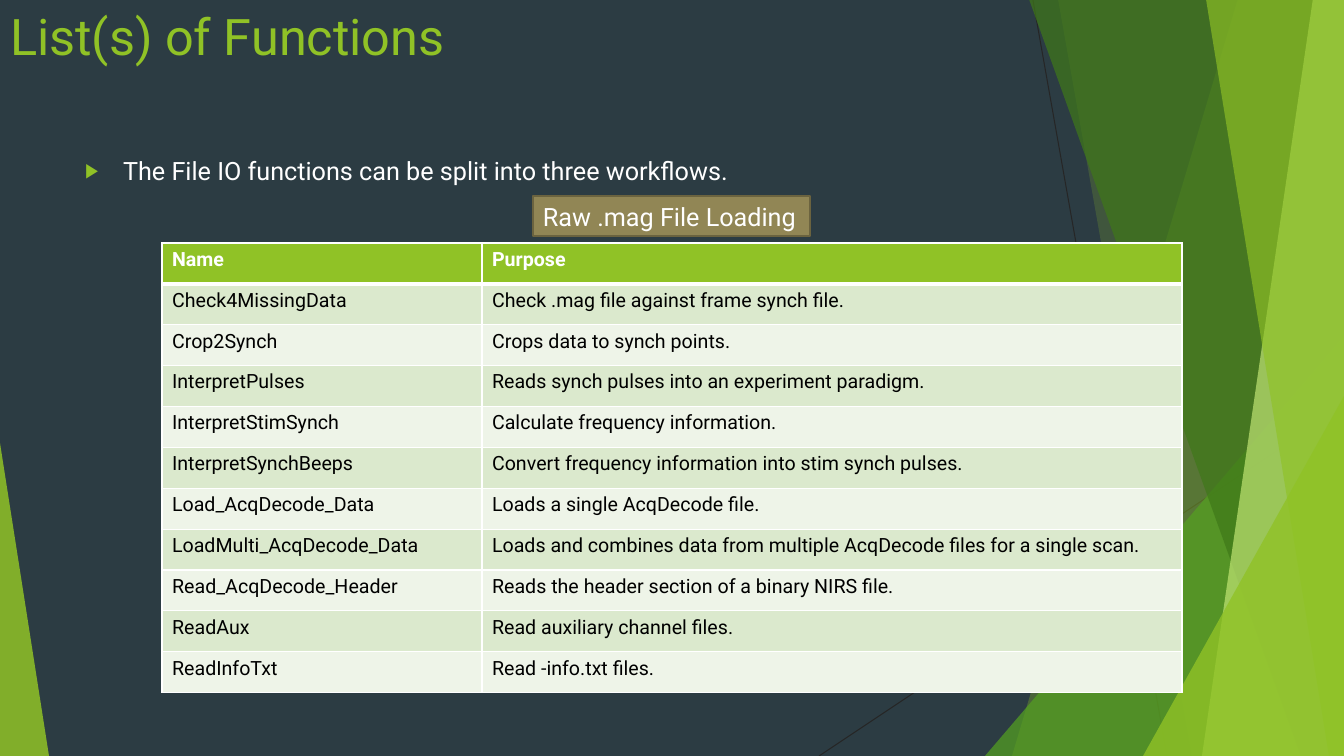
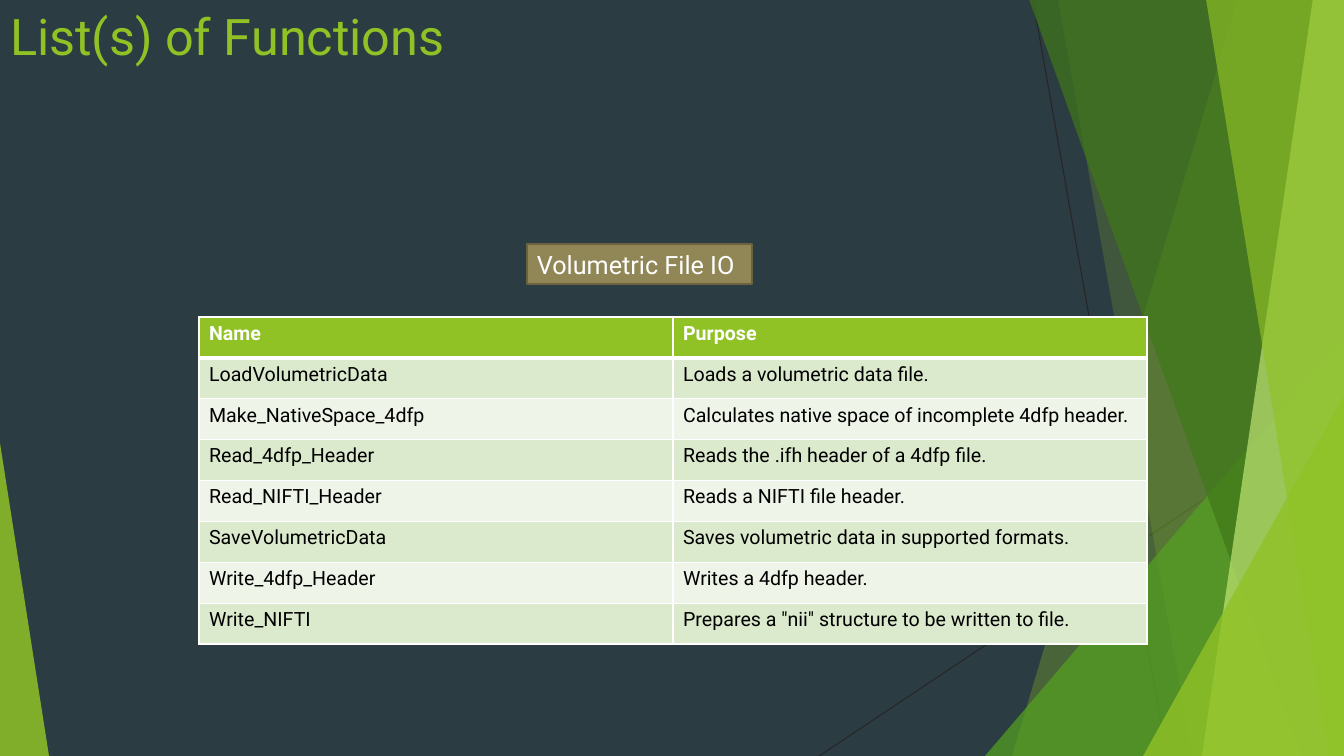
from lxml import etree
from pptx import Presentation
from pptx.dml.color import RGBColor
from pptx.enum.shapes import MSO_CONNECTOR, MSO_SHAPE
from pptx.enum.text import MSO_ANCHOR, MSO_AUTO_SIZE, PP_ALIGN
from pptx.oxml.ns import qn
from pptx.util import Emu, Pt

LINE = MSO_CONNECTOR.STRAIGHT
RECT = MSO_SHAPE.RECTANGLE
WEDGE = MSO_SHAPE.ISOSCELES_TRIANGLE
TOP = MSO_ANCHOR.TOP
LEFT = PP_ALIGN.LEFT
FIT = MSO_AUTO_SIZE.SHAPE_TO_FIT_TEXT
FIXED = MSO_AUTO_SIZE.NONE

SCALE = 914400 / 100.8
WIDTH, HEIGHT = 1344, 756
ROW = 40.88
FONT = "Roboto"
SLATE, INK, BLACK, WHITE = "2C3C43", "262626", "000000", "FFFFFF"
LIME, GREEN, FOREST, PALE = "90C226", "54A021", "3F7819", "C0E474"
TAN, BROWN = "918655", "6B633F"
BANDS = ("DBE9CD", "EEF4E8")

RAW = [
    ("Check4MissingData", "Check .mag file against frame synch file."),
    ("Crop2Synch", "Crops data to synch points."),
    ("InterpretPulses", "Reads synch pulses into an experiment paradigm."),
    ("InterpretStimSynch", "Calculate frequency information."),
    ("InterpretSynchBeeps", "Convert frequency information into stim synch pulses."),
    ("Load_AcqDecode_Data", "Loads a single AcqDecode file."),
    ("LoadMulti_AcqDecode_Data",
     "Loads and combines data from multiple AcqDecode files for a single scan."),
    ("Read_AcqDecode_Header", "Reads the header section of a binary NIRS file."),
    ("ReadAux", "Read auxiliary channel files."),
    ("ReadInfoTxt", "Read -info.txt files."),
]
VOLUME = [
    ("LoadVolumetricData", "Loads a volumetric data file."),
    ("Make_NativeSpace_4dfp", "Calculates native space of incomplete 4dfp header."),
    ("Read_4dfp_Header", "Reads the .ifh header of a 4dfp file."),
    ("Read_NIFTI_Header", "Reads a NIFTI file header."),
    ("SaveVolumetricData", "Saves volumetric data in supported formats."),
    ("Write_4dfp_Header", "Writes a 4dfp header."),
    ("Write_NIFTI", 'Prepares a "nii" structure to be written to file.'),
]


def px(*sizes):
    """Turn pixels into a list of EMU lengths."""
    return [Emu(round(size * SCALE)) for size in sizes]


def paint(target, color):
    """Give a fill or a background a solid colour."""
    target.solid()
    target.fore_color.rgb = RGBColor.from_string(color)


def node(parent, tag, **attrs):
    """Append one XML element with its attributes."""
    return etree.SubElement(parent, qn(tag), attrs)


def write(frame, text, size, color, bold=False):
    """Set left-aligned text in the deck font and return its paragraph."""
    frame.text = text
    para = frame.paragraphs[0]
    para.alignment = LEFT
    for run in para.runs:
        run.font.name = FONT
        run.font.size = Pt(size)
        run.font.bold = bold
        run.font.color.rgb = RGBColor.from_string(color)
    return para


def glass(shape, color, alpha):
    """Fill a shape with a see-through colour and no outline."""
    shape.shadow.inherit = False
    paint(shape.fill, color)
    shape.line.fill.background()
    tint = shape.element.find(".//" + qn("a:srgbClr"))
    node(tint, "a:alpha", val=str(alpha * 1000))
    return shape


def blade(shapes, top, foot, color, alpha):
    """Draw a band from a slanted left edge to the right slide edge."""
    form = shapes.build_freeform(top, -1, scale=SCALE)
    form.add_line_segments([(WIDTH, -1), (WIDTH, HEIGHT), (foot, HEIGHT)])
    return glass(form.convert_to_shape(), color, alpha)


def wedge(shapes, left, wide, high, peak, color, alpha):
    """Draw a right triangle standing on the slide's bottom edge."""
    shape = shapes.add_shape(WEDGE, *px(left, HEIGHT - high, wide, high))
    shape.adjustments[0] = peak
    return glass(shape, color, alpha)


def ray(shapes, *ends):
    """Draw a thin straight line."""
    line = shapes.add_connector(LINE, *px(*ends))
    line.line.width = Pt(0.75)
    paint(line.line.fill, INK)
    node(line.element.spPr, "a:effectLst")
    return line


def dress(master, shapes):
    """Put the background and the facets on the slide master."""
    paint(master.background.fill, SLATE)
    facets = [
        ray(shapes, 1033, 0, 1167, HEIGHT),
        ray(shapes, WIDTH, 406, 819, HEIGHT),
        blade(shapes, 1238, 1012, LIME, 30),
        blade(shapes, 1058, 1192, LIME, 20),
        wedge(shapes, 985, 359, 420, 1, GREEN, 72),
        blade(shapes, 1029, 1301, FOREST, 70),
        blade(shapes, 1313, 1202, PALE, 70),
        blade(shapes, 1206, 1329, LIME, 65),
        wedge(shapes, 1143, 201, 360, 1, LIME, 80),
        wedge(shapes, 0, 49, 313, 0, LIME, 85),
    ]
    for spot, facet in enumerate(facets):
        facet.element.find(".//" + qn("p:cNvPr")).set("id", str(100 + spot))
        master.shapes.element.insert(2 + spot, facet.element)


def fill(holder, box, text, size, color):
    """Move a placeholder and write its text from the top."""
    holder.left, holder.top, holder.width, holder.height = px(*box)
    para = write(holder.text_frame, text, size, color)
    holder.text_frame.auto_size = FIXED
    holder.text_frame.vertical_anchor = TOP
    return para


def title(slide):
    """Write the shared slide title."""
    fill(slide.shapes.title, (0, 0, 948, 145), "List(s) of Functions", 36, LIME)


def bullet(slide, text):
    """Write a body line with an arrow bullet."""
    para = fill(slide.placeholders[1], (75, 150, 948, 427), text, 18, WHITE)
    para.space_before = Pt(10)
    props = para._p.get_or_add_pPr()
    indent = px(38)[0]
    props.set("marL", str(indent))
    props.set("indent", str(-indent))
    node(node(props, "a:buClr"), "a:srgbClr", val=LIME)
    node(props, "a:buSzPct", val="80000")
    node(props, "a:buChar", char="\u25b6")


def edge(cell, row):
    """Draw white cell borders, thick below the header."""
    props = cell._tc.get_or_add_tcPr()
    thick = {0: "B", 1: "T"}.get(row)
    for spot, side in enumerate("LRTB"):
        width = Pt(3 if side == thick else 1)
        line = node(props, "a:ln" + side, w=str(width))
        node(node(line, "a:solidFill"), "a:srgbClr", val=WHITE)
        props.insert(spot, line)


def grid(slide, left, top, cols, items):
    """Add a banded table of function names and purposes."""
    rows = [("Name", "Purpose"), *items]
    box = px(left, top, sum(cols), ROW * len(rows))
    table = slide.shapes.add_table(len(rows), len(cols), *box).table
    for col, width in zip(table.columns, px(*cols)):
        col.width = width
    for at, texts in enumerate(rows):
        table.rows[at].height = px(ROW)[0]
        head = at == 0
        for cell, text in zip(table.rows[at].cells, texts):
            write(cell.text_frame, text, 14, WHITE if head else BLACK, head)
            paint(cell.fill, LIME if head else BANDS[(at - 1) % 2])
            edge(cell, at)


def label(slide, box, text):
    """Add the tan name plate above a table."""
    plate = slide.shapes.add_shape(RECT, *px(*box))
    plate.shadow.inherit = False
    paint(plate.fill, TAN)
    paint(plate.line.fill, BROWN)
    plate.line.width = Pt(1.5)
    frame = plate.text_frame
    write(frame, text, 18, WHITE)
    frame.word_wrap = False
    frame.auto_size = FIT
    frame.vertical_anchor = TOP


def main():
    """Build and save the deck."""
    deck = Presentation()
    deck.slide_width, deck.slide_height = px(WIDTH, HEIGHT)
    raw = deck.slides.add_slide(deck.slide_layouts[1])
    dress(deck.slide_master, raw.shapes)
    title(raw)
    bullet(raw, "The File IO functions can be split into three workflows.")
    grid(raw, 162, 243, (320, 700), RAW)
    label(raw, (533, 196, 277, 40), "Raw .mag File Loading")

    volume = deck.slides.add_slide(deck.slide_layouts[5])
    title(volume)
    grid(volume, 199, 317, (474, 474), VOLUME)
    label(volume, (527, 244, 225, 40), "Volumetric File IO")
    deck.save("out.pptx")


if __name__ == "__main__":
    main()
